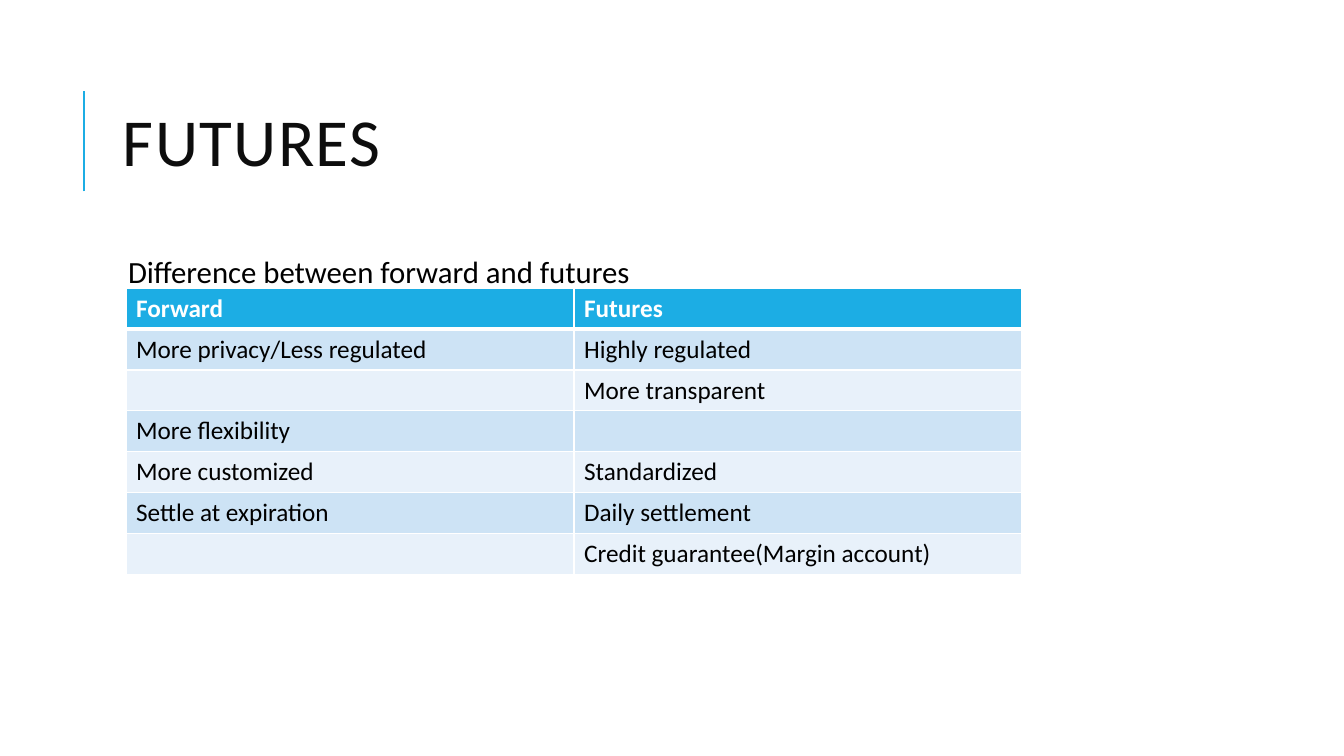
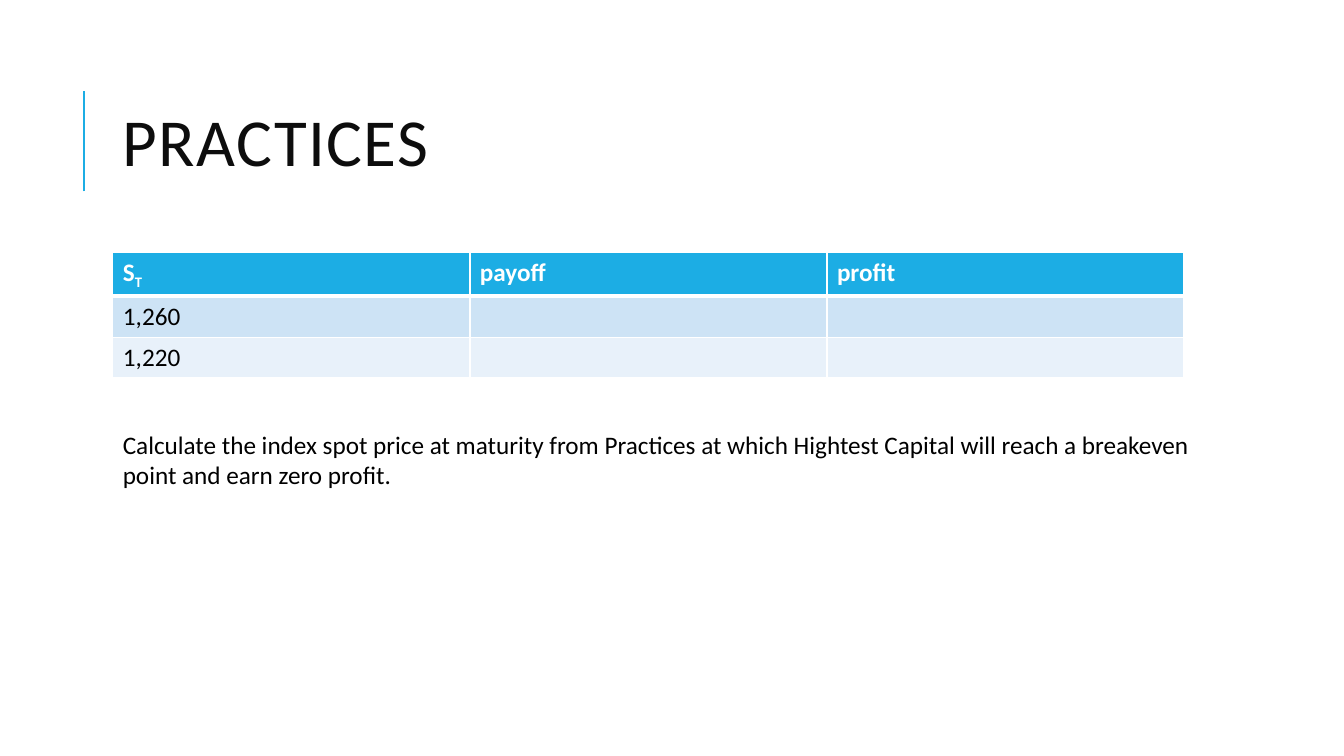
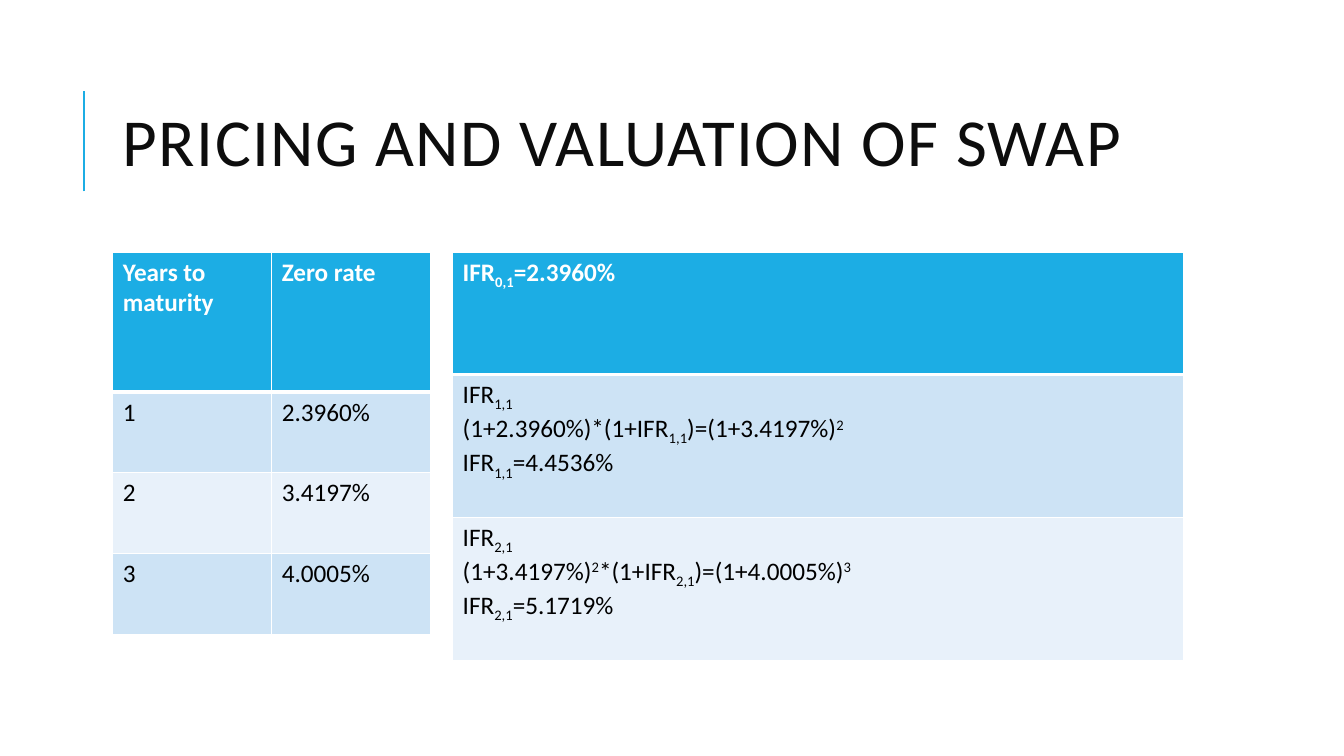
from lxml import etree
from pptx import Presentation
from pptx import util as u
from pptx.dml.color import RGBColor
from pptx.enum import shapes, text
from pptx.oxml.ns import qn

COLORS = {
    "accent": "1CADE4",
    "title": "0D0D0D",
    "text": "000000",
    "white": "FFFFFF",
    "band_dark": "CDE3F5",
    "band_light": "E8F1FA",
}
FONT = "Calibri"
BASELINES = {"_": "-25000", "^": "30000"}

presentation = Presentation()
presentation.slide_width = u.Inches(13.33)
presentation.slide_height = u.Inches(7.5)
across = presentation.slide_width / 100
down = presentation.slide_height / 100

LEFT, WIDTH, TOP = 8.4, 79.7, 33.33
RULE_LEFT, RULE_TOP, RULE_BOTTOM = 6.25, 12, 25.33
TITLE_TOP, TITLE_HEIGHT = 8.5, 21.9
ROW = 5.41


def write(frame, content, size=18, color="text", bold=False, spacing=None, tracking=None):
    frame.word_wrap = True
    for index, line in enumerate(content.split("\n")):
        paragraph = frame.paragraphs[0] if index == 0 else frame.add_paragraph()
        paragraph.alignment = text.PP_ALIGN.LEFT
        if spacing:
            paragraph.line_spacing = spacing
        for piece in filter(None, line.split("|")):
            run = paragraph.add_run()
            run.text = piece.lstrip("_^")
            run.font.name = FONT
            run.font.size = u.Pt(size)
            run.font.bold = bold
            run.font.color.rgb = RGBColor.from_string(COLORS[color])
            properties = run.font._element
            if piece[0] in BASELINES:
                properties.set("baseline", BASELINES[piece[0]])
            if tracking:
                properties.set("spc", str(tracking))


def add_grid(slide, left, top, width, heights, rows):
    frame = slide.shapes.add_table(
        len(rows), len(rows[0]), int(left * across), int(top * down),
        int(width * across), int(sum(heights) * down))
    table = frame.table
    table.horz_banding = False
    for column in table.columns:
        column.width = int(width * across / len(rows[0]))
    for row_index, (height, row) in enumerate(zip(heights, rows)):
        table.rows[row_index].height = int(height * down)
        header = row_index == 0
        fill = "accent" if header else ("band_light", "band_dark")[row_index % 2]
        edges = {"lnL": 1, "lnR": 1, "lnT": 3 if row_index == 1 else 1, "lnB": 3 if header else 1}
        for column_index, content in enumerate(row):
            cell = table.cell(row_index, column_index)
            properties = cell._tc.get_or_add_tcPr()
            for edge, points in edges.items():
                line = etree.SubElement(properties, qn("a:" + edge), w=str(u.Pt(points)))
                solid = etree.SubElement(line, qn("a:solidFill"))
                etree.SubElement(solid, qn("a:srgbClr"), val=COLORS["white"])
            cell.fill.solid()
            cell.fill.fore_color.rgb = RGBColor.from_string(COLORS[fill])
            write(cell.text_frame, content, color="white" if header else "text", bold=header)


layout = presentation.slide_layouts[5]
slides = []
for heading in ("FUTURES", "PRACTICES", "PRICING AND VALUATION OF SWAP"):
    slide = presentation.slides.add_slide(layout)
    title = slide.shapes.title
    title.left, title.top = int(LEFT * across), int(TITLE_TOP * down)
    title.width, title.height = int(WIDTH * across), int(TITLE_HEIGHT * down)
    title.text_frame.auto_size = text.MSO_AUTO_SIZE.NONE
    title.text_frame.vertical_anchor = text.MSO_ANCHOR.MIDDLE
    write(title.text_frame, heading, size=48, color="title", spacing=0.8, tracking=100)
    slides.append(slide)
futures, practices, swap = slides

rule = futures.shapes.add_connector(
    shapes.MSO_CONNECTOR.STRAIGHT, int(RULE_LEFT * across), int(RULE_BOTTOM * down),
    int(RULE_LEFT * across), int(RULE_TOP * down))
rule.line.color.rgb = RGBColor.from_string(COLORS["accent"])
rule.line.width = u.Pt(1.5)
etree.SubElement(rule._element.spPr, qn("a:effectLst"))
layout.shapes.element.append(rule._element)

subtitle = futures.shapes.add_textbox(
    int(LEFT * across), int(TOP * down), int(WIDTH * across), int(58.67 * down))
subtitle.text_frame.margin_left = u.Inches(0.15)
subtitle.text_frame.margin_top = u.Inches(0.05)
write(subtitle.text_frame, "Difference between forward and futures", size=22, spacing=0.9)

comparison = [
    ("Forward", "Futures"),
    ("More privacy/Less regulated", "Highly regulated"),
    ("", "More transparent"),
    ("More flexibility", ""),
    ("More customized", "Standardized"),
    ("Settle at expiration", "Daily settlement"),
    ("", "Credit guarantee(Margin account)"),
]
add_grid(futures, 9.38, 38.13, 66.67, [ROW] * len(comparison), comparison)

payoffs = [("S|_T", "payoff", "profit"), ("1,260", "", ""), ("1,220", "", "")]
add_grid(practices, LEFT, TOP, WIDTH, [ROW] * len(payoffs), payoffs)
question = practices.shapes.add_textbox(
    int(LEFT * across), int(56.13 * down), int(83.2 * across), int(13.47 * down))
write(question.text_frame,
      "Calculate the index spot price at maturity from Practices at which Hightest Capital "
      "will reach a breakeven point and earn zero profit.")

zero_rates = [
    ("Years to maturity", "Zero rate"),
    ("1", "2.3960%"),
    ("2", "3.4197%"),
    ("3", "4.0005%"),
]
add_grid(swap, LEFT, TOP, 23.63, [18.53] + [10.7] * 3, zero_rates)

forward_rates = [
    ("IFR|_0,1|=2.3960%",),
    ("IFR|_1,1\n(1+2.3960%)*(1+IFR|_1,1|)=(1+3.4197%)|^2\nIFR|_1,1|=4.4536%",),
    ("IFR|_2,1\n(1+3.4197%)|^2|*(1+IFR|_2,1|)=(1+4.0005%)|^3\nIFR|_2,1|=5.1719%",),
]
add_grid(swap, 33.68, TOP, 54.42, [16.2, 18.9, 18.9], forward_rates)

presentation.save("out.pptx")
